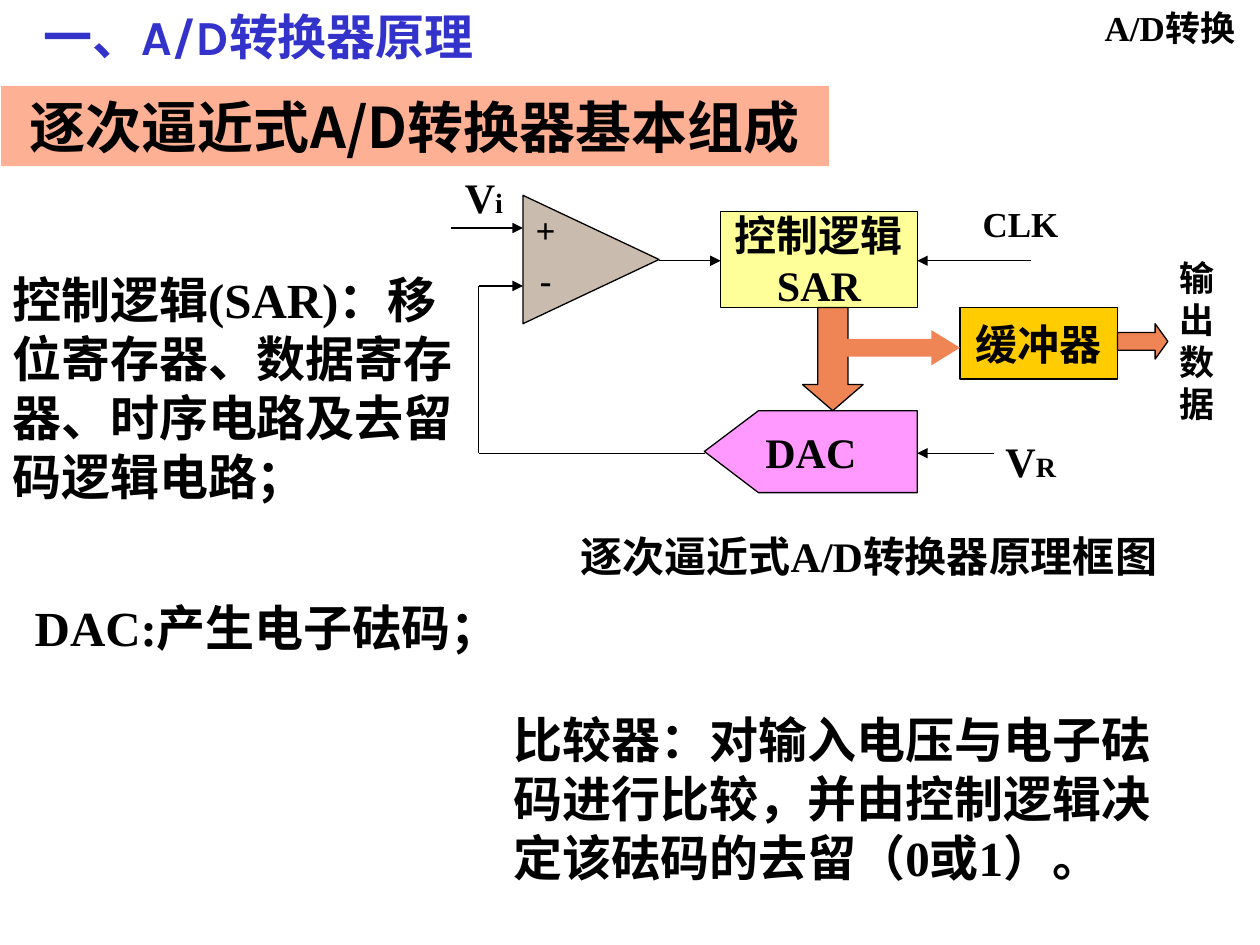
from dataclasses import dataclass

from lxml import etree
from pptx import Presentation
from pptx import util as u
from pptx.dml.color import RGBColor
from pptx.enum import shapes, text
from pptx.oxml import ns

Pt = u.Pt
GEO = shapes.MSO_SHAPE
LEFT, CENTER = text.PP_ALIGN.LEFT, text.PP_ALIGN.CENTER
TOP, MIDDLE = text.MSO_ANCHOR.TOP, text.MSO_ANCHOR.MIDDLE


@dataclass(frozen=True)
class Theme:
    serif: str = "Times New Roman"
    heading_font: str = "Karla"
    cjk: str = "Noto Sans CJK SC"
    black: str = "000000"
    blue: str = "3333CC"
    banner: str = "FEB094"
    comparator: str = "C9BBAD"
    dac: str = "FF99FF"
    logic: str = "FFFF99"
    buffer: str = "FFCC00"
    bus: str = "EF8555"
    sub: int = 16
    small: int = 20
    label: int = 24
    body: int = 28
    large: int = 32
    line: float = 0.75


T = Theme()


def rgb(value):
    return RGBColor.from_string(value)


def write(s, paras, size, font=T.serif, color=T.black, align=CENTER,
          anchor=MIDDLE, wrap=False, gap=0):
    """Fill a shape; a paragraph is a string or a list of (text, size)."""
    tf = s.text_frame
    frame = dict(word_wrap=wrap, vertical_anchor=anchor,
                 margin_left=Pt(7.2), margin_right=Pt(7.2),
                 margin_top=Pt(3.6), margin_bottom=Pt(3.6))
    for key, value in frame.items():
        setattr(tf, key, value)
    for i, para in enumerate(paras):
        p = tf.add_paragraph() if i else tf.paragraphs[0]
        p.alignment = align
        if i and gap:
            p.space_before = Pt(gap)
        for words, pts in [(para, size)] if isinstance(para, str) else para:
            r = p.add_run()
            r.text = words
            for key, value in dict(name=font, size=Pt(pts), bold=True).items():
                setattr(r.font, key, value)
            r.font.color.rgb = rgb(color)
            ea = etree.SubElement(r.font._element, ns.qn("a:ea"))
            ea.set("typeface", T.cjk)


def paint(s, fill, outlined=True):
    s.shadow.inherit = False
    s.fill.solid()
    s.fill.fore_color.rgb = rgb(fill)
    if outlined:
        s.line.color.rgb = rgb(T.black)
        s.line.width = Pt(T.line)
    else:
        s.line.fill.background()
    return s


def add_text(slide, box, paras, size, **style):
    write(slide.shapes.add_textbox(*map(Pt, box)), paras, size, **style)


def add_block(slide, kind, box, fill, outlined=True, adj=()):
    s = slide.shapes.add_shape(kind, *map(Pt, box))
    for i, value in enumerate(adj):
        s.adjustments[i] = value
    return paint(s, fill, outlined)


def add_polygon(slide, points, fill):
    start, *rest = [tuple(map(Pt, point)) for point in points]
    builder = slide.shapes.build_freeform(*start, scale=1.0)
    builder.add_line_segments(rest, close=True)
    return paint(builder.convert_to_shape(), fill)


def add_wire(slide, x1, y1, x2, y2, arrow=True):
    s = slide.shapes.add_connector(shapes.MSO_CONNECTOR.STRAIGHT,
                                   *map(Pt, (x1, y1, x2, y2)))
    s.line.color.rgb = rgb(T.black)
    s.line.width = Pt(T.line)
    if arrow:
        tail = etree.SubElement(s.line._get_or_add_ln(), ns.qn("a:tailEnd"))
        tail.set("type", "triangle")
    etree.SubElement(s._element.spPr, ns.qn("a:effectLst"))


def add_headings(slide):
    add_text(slide, (624.2, 0, 95.8, 30.2), ["A/D转换"], T.small,
             align=LEFT, anchor=TOP, wrap=True)
    add_text(slide, (18, 0, 378, 41), ["一、A/D转换器原理"], T.body,
             font=T.heading_font, color=T.blue, align=LEFT, anchor=TOP, wrap=True)
    banner = add_block(slide, GEO.RECTANGLE, (0.7, 49, 473, 46), T.banner, False)
    write(banner, ["逐次逼近式A/D转换器基本组成"], T.large, font=T.cjk)


def add_diagram(slide):
    # Comparator, DAC, control logic and buffer
    comparator = add_block(slide, GEO.FLOWCHART_EXTRACT,
                           (301, 109.4, 73.4, 77.8), T.comparator)
    comparator.rotation = 90
    dac = add_polygon(slide, [(524.2, 281.5), (433.4, 281.5), (402.5, 258),
                              (433.4, 234.7), (524.2, 234.7)], T.dac)
    write(dac, ["DAC"], T.label)
    logic = add_block(slide, GEO.RECTANGLE, (411.8, 121, 112.4, 54.7), T.logic)
    write(logic, ["控制逻辑", "SAR"], T.label)
    buffer = add_block(slide, GEO.RECTANGLE, (548.6, 175.7, 90, 41), T.buffer)
    write(buffer, ["缓冲器"], T.label)

    # Data bus arrows
    add_block(slide, GEO.DOWN_ARROW, (458.6, 175.7, 34.6, 59), T.bus,
              adj=(0.5, 0.43))
    add_block(slide, GEO.RIGHT_ARROW, (483.8, 188.6, 64.8, 20.2), T.bus, False,
              adj=(0.5, 0.81))
    add_block(slide, GEO.RIGHT_ARROW, (638.6, 185, 28.8, 20.2), T.bus,
              adj=(0.5, 0.36))

    # Signal wires
    for wire in [(376.6, 149, 411.8, 149), (589, 149, 524.2, 149),
                 (273.6, 163.4, 298.8, 163.4), (257.8, 130.3, 298.8, 130.3),
                 (568, 259, 524.2, 259)]:
        add_wire(slide, *wire)
    for wire in [(403, 259, 273.6, 259), (273.6, 259, 273.6, 163.4)]:
        add_wire(slide, *wire, arrow=False)

    # Labels
    add_text(slide, (298.8, 115.2, 26, 60.5), ["+", "-"], T.small, gap=5)
    for box, sub in [((567.4, 245.5, 43.2, 36), "R"), ((258.5, 94.3, 36, 36), "i")]:
        add_text(slide, box, [[("V", T.label), (sub, T.sub)]], T.label)
    add_text(slide, (554.4, 111.6, 57.6, 31.7), ["CLK"], T.small)
    add_text(slide, (666.7, 142.6, 34.6, 103.7), list("输出数据"), T.small)
    add_text(slide, (319, 299.5, 355, 36), ["逐次逼近式A/D转换器原理框图"], T.label)


def add_notes_on_parts(slide):
    for box, words, align in [
        ((0, 150.5, 278.6, 141.8),
         "控制逻辑(SAR)：移位寄存器、数据寄存器、时序电路及去留码逻辑电路；", LEFT),
        ((0, 337.7, 305.3, 41), "DAC:产生电子砝码；", CENTER),
        ((286.6, 401.8, 401, 108),
         "比较器：对输入电压与电子砝码进行比较，并由控制逻辑决定该砝码的去留（0或1）。", LEFT),
    ]:
        add_text(slide, box, [words], T.body, align=align, wrap=True)


def main():
    prs = Presentation()
    prs.slide_width, prs.slide_height = Pt(720), Pt(540)
    slide = prs.slides.add_slide(prs.slide_layouts[6])
    add_headings(slide)
    add_diagram(slide)
    add_notes_on_parts(slide)
    prs.save("out.pptx")


if __name__ == "__main__":
    main()
